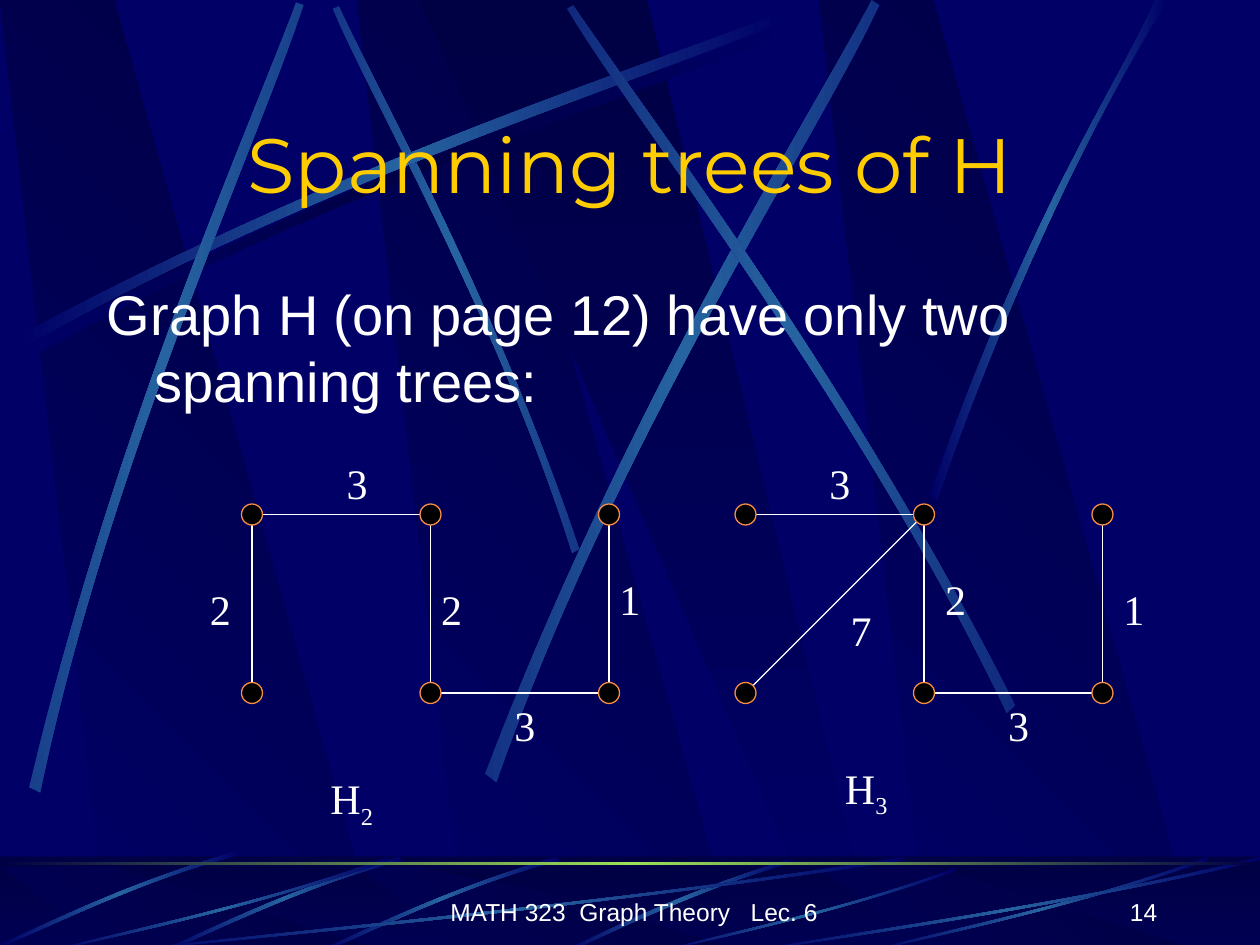
from copy import deepcopy
from dataclasses import dataclass

from lxml.etree import SubElement
from pptx import Presentation
from pptx.dml.color import RGBColor
from pptx.enum.shapes import MSO_CONNECTOR, MSO_SHAPE
from pptx.enum.text import MSO_ANCHOR, MSO_AUTO_SIZE, PP_ALIGN
from pptx.oxml.ns import qn
from pptx.util import Pt

NAVY, DARK, GLOW, LIME = "000066", "000044", "2663A0", "9CE157"
WHITE, BLACK, GOLD, RIM = "FFFFFF", "000000", "FFCC00", "F98D43"
PITCH, TOP, DOT = 102, 294, 12
COLS, ROWS = 3, 2


@dataclass
class Beam:
    points: list
    span: float = 0
    shifts: tuple = ((0, 0),)


@dataclass
class Edge:
    start: tuple
    end: tuple
    weight: str
    spot: tuple


@dataclass
class Tree:
    left: float
    edges: list
    index: str
    spot: tuple


SLANT = [(0.285, 1), (1, 1), (0.3, 0), (0, 0)]
WEDGE = [(0, 0), (0.9, 1), (1, 1), (0.5, 0)]
BLADE = [(1, 0.04), (0.57, 0.57), (0.17, 0.85), (0, 1),
         (0, 0.99), (0.17, 0.81), (0.62, 0.51), (1, 0)]
BLADES = [(72, 489.6, 444, 54), (30, 489.6, 192, 54), (379.4, 496, 166.3, 47.5),
          (498, 489.6, 192, 54), (432, 489.6, 288, 54)]

ARC = [(10.1, 192.2), (200.2, 90), (373, 36.7), (446.4, 7.2),
       (448.6, 11.5), (375.8, 43.9), (178.6, 103), (12.2, 199.4)]
BEAMS = [
    Beam([(331.2, 313.9), (281.5, 168.5), (217.4, 55.4), (193.7, 3.6),
          (190.1, 5), (212.4, 56.9), (286.6, 185.8), (326.9, 316.1)], 318.2),
    Beam(ARC),
    Beam([(16.6, 450), (67, 240.5), (141.8, 75.6), (169.2, 1.4),
          (173.5, 2.9), (149, 77.8), (61.9, 265), (23, 452.9)], 437.8),
    Beam([(277.2, 442.1), (358.6, 230.4), (459.4, 73.4), (498.2, 0),
          (502.6, 2.9), (467.3, 77.8), (349.9, 255.6), (283.7, 447.1)], 449.3),
    Beam([(580.3, 403.2), (482.4, 211), (371.5, 68.4), (327.6, 2.9),
          (324, 5), (365, 72.7), (493.2, 234), (575.3, 407.5)], 437.8),
    Beam([(531.4, 283), (586.1, 124.6), (639.4, 47.5), (660.2, 0),
          (667.4, 0), (601.9, 104.4), (553.7, 231.8), (535.7, 285.8)]),
]
LOW_BEAMS = [
    Beam([(451.4, 491), (386.6, 510.5), (343.4, 534.2), (322.6, 542.9),
          (326.2, 543.6), (352.8, 530.6), (411.1, 504), (452.2, 493.2)]),
    Beam([(318.2, 489.6), (255.6, 507.6), (206.6, 532.8), (184.3, 542.2),
          (185, 543.6), (207.4, 535), (262.8, 506.2), (319.7, 491.8)],
         shifts=((0, 0), (-90, 0), (-183.6, -3))),
]
TREES = [
    Tree(144, [Edge((0, 0), (0, 1), "2", (108, 330)),
               Edge((0, 0), (1, 0), "3", (186, 258)),
               Edge((1, 0), (1, 1), "2", (240, 330)),
               Edge((1, 1), (2, 1), "3", (282, 396)),
               Edge((2, 1), (2, 0), "1", (342, 324))], "2", (174, 438)),
    Tree(426, [Edge((1, 0), (0, 0), "3", (462, 258)),
               Edge((1, 0), (0, 1), "7", (474, 342)),
               Edge((1, 1), (1, 0), "2", (528, 324)),
               Edge((2, 1), (1, 1), "3", (564, 396)),
               Edge((2, 0), (2, 1), "1", (630, 330))], "3", (468, 432)),
]


def color(code: str) -> RGBColor:
    return RGBColor.from_string(code)


def blend(low: str, high: str, part: float) -> str:
    pairs = zip(bytes.fromhex(low), bytes.fromhex(high))
    return "".join(f"{round(a + (b - a) * part):02X}" for a, b in pairs)


def shade(shape, codes: list, angle: float = 0) -> None:
    shape.shadow.inherit = False
    shape.line.fill.background()
    shape.fill.gradient()
    shape.fill.gradient_angle = angle
    stops = shape.element.find(".//" + qn("a:gsLst"))
    while len(stops) < len(codes):
        stops.append(deepcopy(stops[-1]))
    for i, (stop, code) in enumerate(zip(shape.fill.gradient_stops, codes)):
        stop.position = i / (len(codes) - 1)
        stop.color.rgb = color(code)


def outline(shapes, points: list):
    spots = [(Pt(x), Pt(y)) for x, y in points]
    pen = shapes.build_freeform(*spots[0])
    pen.add_line_segments(spots[1:], close=True)
    return pen.convert_to_shape()


def fit(points: list, box: tuple) -> list:
    left, top, width, height = box
    return [(left + x * width, top + y * height) for x, y in points]


def bend(shape) -> None:
    legs = shape.element.findall(".//" + qn("a:lnTo"))
    for group in (legs[:3], legs[4:]):
        bow = SubElement(group[0].getparent(), qn("a:cubicBezTo"))
        group[0].addprevious(bow)
        for leg in group:
            bow.append(leg[0])
            leg.getparent().remove(leg)


def draw_beam(shapes, beam: Beam, core: str = GLOW) -> None:
    xs = [x for x, _ in beam.points]
    part = 1 - (max(xs) - min(xs)) / beam.span if beam.span else 0
    edge = blend(NAVY, core, part)
    for dx, dy in beam.shifts:
        shape = outline(shapes, [(x + dx, y + dy) for x, y in beam.points])
        bend(shape)
        shade(shape, [edge, core, edge])


def add_box(shapes, kind, box: tuple):
    return shapes.add_shape(kind, *map(Pt, box))


def draw_panels(shapes, top: float, height: float) -> None:
    for left in (204, 0, 468):
        shade(outline(shapes, fit(SLANT, (left, top, 217.4, height))), [NAVY, DARK], 45)
    shade(outline(shapes, fit(WEDGE, (239.8, top, 260, height))), [DARK, NAVY], 270)


def draw_back(shapes) -> None:
    draw_panels(shapes, 0, 541.4)
    draw_beam(shapes, Beam(ARC, shifts=((4.3, 5.8),)), DARK)
    for beam in BEAMS:
        draw_beam(shapes, beam)
    shade(add_box(shapes, MSO_SHAPE.RECTANGLE, (0, 489.6, 720, 54)), [DARK, NAVY], 270)
    draw_panels(shapes, 495.4, 47.5)
    veil = add_box(shapes, MSO_SHAPE.RECTANGLE, (0, 489, 720, 54))
    veil.shadow.inherit = False
    veil.line.fill.background()
    veil.fill.solid()
    veil.fill.fore_color.rgb = color(DARK)
    tint = veil.element.spPr.find(".//" + qn("a:srgbClr"))
    SubElement(tint, qn("a:alpha")).set("val", "50000")
    for beam in LOW_BEAMS + [Beam(fit(BLADE, box)) for box in BLADES]:
        draw_beam(shapes, beam)
    shade(add_box(shapes, MSO_SHAPE.RECTANGLE, (0, 492.5, 720, 1.7)), [DARK, LIME, DARK])


def move_back(slide, master) -> None:
    front = master.placeholders[0].element
    parts = [shape for shape in slide.shapes if not shape.is_placeholder]
    for i, shape in enumerate(parts, 100):
        shape.element.find(".//" + qn("p:cNvPr")).set("id", str(i))
        front.addprevious(shape.element)


def style(shape, size: float, face: str, code: str, align) -> None:
    para = shape.text_frame.paragraphs[0]
    para.alignment = align
    for run in para.runs:
        run.font.size = Pt(size)
        run.font.name = face
        run.font.color.rgb = color(code)


def add_text(shapes, text: str, box: tuple, size: float, face: str = "Arial",
             align=PP_ALIGN.LEFT, gap: float = 0, anchor=MSO_ANCHOR.TOP, sub: str = ""):
    shape = shapes.add_textbox(*map(Pt, box))
    frame = shape.text_frame
    frame.word_wrap = True
    frame.vertical_anchor = anchor
    frame.text = text
    para = frame.paragraphs[0]
    para.space_before = Pt(gap)
    if sub:
        para.add_run().text = sub
    style(shape, size, face, WHITE, align)
    if sub:
        shape.element.findall(".//" + qn("a:rPr"))[-1].set("baseline", "-25000")
    return shape


def add_label(shapes, text: str, box: tuple, sub: str = "") -> None:
    shape = add_text(shapes, text, box, 24, "Times New Roman", PP_ALIGN.CENTER, 15, sub=sub)
    shape.text_frame.auto_size = MSO_AUTO_SIZE.SHAPE_TO_FIT_TEXT


def draw_tree(shapes, tree: Tree) -> None:
    def place(node: tuple) -> tuple:
        return tree.left + node[0] * PITCH, TOP + node[1] * PITCH
    for edge in tree.edges:
        ends = map(Pt, place(edge.start) + place(edge.end))
        line = shapes.add_connector(MSO_CONNECTOR.STRAIGHT, *ends)
        line.line.color.rgb = color(WHITE)
        line.line.width = Pt(0.75)
        SubElement(line.element.spPr, qn("a:effectLst"))
    for node in ((c, r) for c in range(COLS) for r in range(ROWS)):
        x, y = place(node)
        dot = add_box(shapes, MSO_SHAPE.OVAL, (x - DOT / 2, y - DOT / 2, DOT, DOT))
        dot.shadow.inherit = False
        dot.fill.solid()
        dot.fill.fore_color.rgb = color(BLACK)
        dot.line.color.rgb = color(RIM)
        dot.line.width = Pt(0.75)
    for edge in tree.edges:
        add_label(shapes, edge.weight, (*edge.spot, 36, 36))
    add_label(shapes, "H", (*tree.spot, 54, 40), tree.index)


def main() -> None:
    deck = Presentation()
    deck.slide_width, deck.slide_height = Pt(720), Pt(540)
    slide = deck.slides.add_slide(deck.slide_layouts[5])
    shapes = slide.shapes
    slide.background.fill.solid()
    slide.background.fill.fore_color.rgb = color(NAVY)
    draw_back(shapes)
    move_back(slide, deck.slide_master)

    title = shapes.title
    title.left, title.top, title.width, title.height = map(Pt, (54, 63, 612, 60))
    title.text_frame.text = "Spanning trees of H"
    title.text_frame.vertical_anchor = MSO_ANCHOR.MIDDLE
    style(title, 44, "Montserrat", GOLD, PP_ALIGN.CENTER)

    body = add_text(shapes, "Graph H (on page 12) have only two spanning trees:",
                    (54, 156, 612, 324), 32, gap=8)
    props = body.element.find(".//" + qn("a:pPr"))
    props.set("marL", str(Pt(27)))
    props.set("indent", str(-Pt(27)))
    for tree in TREES:
        draw_tree(shapes, tree)
    add_text(shapes, "MATH 323  Graph Theory   Lec. 6", (248.4, 497, 228, 36), 14,
             align=PP_ALIGN.CENTER, anchor=MSO_ANCHOR.BOTTOM)
    add_text(shapes, "14", (518.4, 497, 150, 36), 14,
             align=PP_ALIGN.RIGHT, anchor=MSO_ANCHOR.BOTTOM)
    deck.save("out.pptx")


if __name__ == "__main__":
    main()
